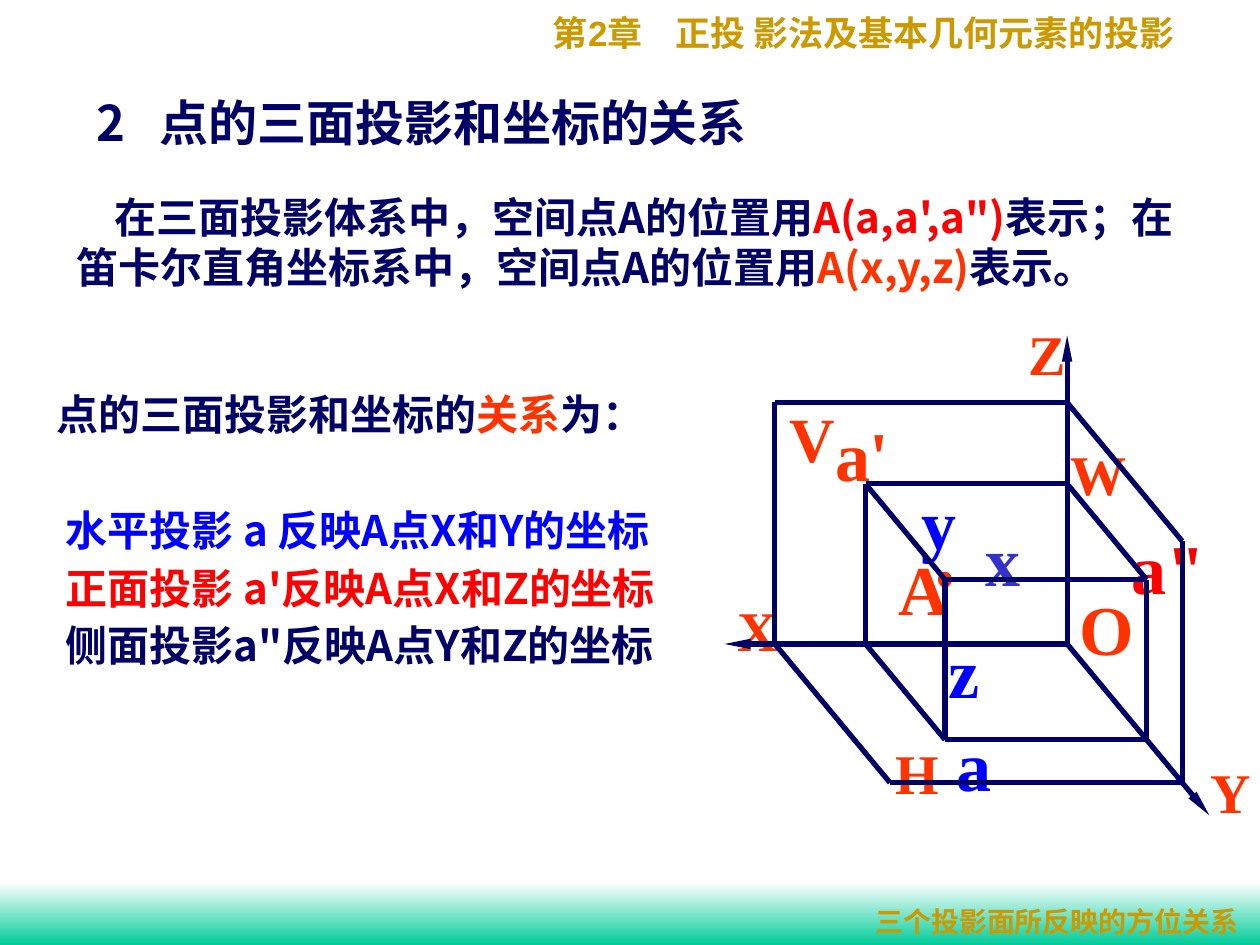
from dataclasses import dataclass
from typing import NamedTuple

import pptx
import pptx.dml.color
import pptx.enum.shapes
import pptx.enum.text
import pptx.oxml
import pptx.oxml.ns
import pptx.util
from lxml import etree

Pt = pptx.util.Pt
qn = pptx.oxml.ns.qn


@dataclass(frozen=True)
class Theme:
    navy: str = "000066"
    gold: str = "CC9900"
    red: str = "FF0000"
    flame: str = "FF3300"
    blue: str = "0000FF"
    iris: str = "3333CC"
    white: str = "FFFFFF"
    green: str = "00CC99"
    sans: str = "Noto Sans CJK SC"
    serif: str = "Times New Roman"
    arial: str = "Arial"
    title: int = 28
    body: int = 24
    head: int = 20
    foot: int = 16
    large: int = 40
    plane: int = 36
    axis: int = 32
    stroke: int = 3


T = Theme()


class Run(NamedTuple):
    text: str
    color: str = T.navy
    font: str = T.sans


class Para(NamedTuple):
    runs: list[Run]
    indent: float = 0
    tab: float = 0
    before: float = 0
    lines: float = 1


class Block(NamedTuple):
    left: float
    top: float
    width: float
    height: float
    size: int
    paras: list[Para]


class Label(NamedTuple):
    text: str
    left: float
    top: float
    width: float
    color: str = T.flame
    size: int = T.large


class Node(NamedTuple):
    """Space coordinates, measured from the origin O."""
    x: float
    y: float
    z: float


class Edge(NamedTuple):
    start: Node
    end: Node
    arrow: bool = False


def rgb(code: str) -> pptx.dml.color.RGBColor:
    return pptx.dml.color.RGBColor.from_string(code)


def style(run, size: int, color: str, font: str) -> None:
    run.font.size = Pt(size)
    run.font.bold = True
    run.font.color.rgb = rgb(color)
    run.font.name = font
    east = etree.SubElement(run.font._element, qn("a:ea"))
    east.set("typeface", T.sans)


def draw_block(shapes, block: Block) -> None:
    box = shapes.add_textbox(Pt(block.left), Pt(block.top), Pt(block.width), Pt(block.height))
    frame = box.text_frame
    frame.word_wrap = True
    frame.vertical_anchor = pptx.enum.text.MSO_ANCHOR.MIDDLE
    for i, item in enumerate(block.paras):
        para = frame.add_paragraph() if i else frame.paragraphs[0]
        props = para._p.get_or_add_pPr()
        if item.indent:
            props.set("marL", "0")
            props.set("indent", str(int(Pt(item.indent))))
        if item.tab:
            stops = etree.SubElement(props, qn("a:tabLst"))
            etree.SubElement(stops, qn("a:tab"), pos=str(int(Pt(item.tab))), algn="l")
        para.line_spacing = item.lines
        if item.before:
            para.space_before = Pt(item.before)
        for part in item.runs:
            run = para.add_run()
            run.text = part.text
            style(run, block.size, part.color, part.font)


def draw_label(shapes, label: Label) -> None:
    """Centre the text between zero side margins, so that it stays on one line."""
    height = 1.2 * label.size + 7.2
    box = shapes.add_textbox(Pt(label.left), Pt(label.top), Pt(label.width), Pt(height))
    frame = box.text_frame
    frame.text = label.text
    frame.word_wrap = False
    frame.margin_left = frame.margin_right = Pt(0)
    para = frame.paragraphs[0]
    para.alignment = pptx.enum.text.PP_ALIGN.CENTER
    style(para.runs[0], label.size, label.color, T.serif)


def project(node: Node) -> tuple[float, float]:
    """Oblique view: x runs left, z up, y down to the right."""
    return 609.8 - node.x + 0.83 * node.y, 368 + node.y - node.z


def draw_edge(shapes, edge: Edge) -> None:
    ends = [Pt(v) for node in (edge.start, edge.end) for v in project(node)]
    line = shapes.add_connector(pptx.enum.shapes.MSO_CONNECTOR.STRAIGHT, *ends)
    line.line.color.rgb = rgb(T.navy)
    line.line.width = Pt(T.stroke)
    if edge.arrow:
        etree.SubElement(line.line._get_or_add_ln(), qn("a:tailEnd"),
                         type="triangle", w="sm", len="lg")
    etree.SubElement(line._element.spPr, qn("a:effectLst"))


def draw_band(shapes) -> None:
    band = shapes.add_shape(pptx.enum.shapes.MSO_SHAPE.RECTANGLE, 0, Pt(504), Pt(720), Pt(36))
    band.shadow.inherit = False
    band.line.fill.background()
    band.fill.gradient()
    band.fill.gradient_angle = 270
    for stop, color, place in zip(band.fill.gradient_stops, (T.white, T.green), (0, 1)):
        stop.color.rgb = rgb(color)
        stop.position = place


def draw_dot(shapes, node: Node) -> None:
    x, y = project(node)
    dot = shapes.add_shape(pptx.enum.shapes.MSO_SHAPE.OVAL, Pt(x - 2.5), Pt(y - 3), Pt(5), Pt(6))
    dot.shadow.inherit = False
    dot.fill.solid()
    dot.fill.fore_color.rgb = rgb(T.red)
    dot.line.color.rgb = rgb(T.flame)
    dot.line.width = Pt(T.stroke)


def faces(x: float, y: float, z: float) -> list[Edge]:
    """Outer edges of the V, H and W faces of a box at the origin."""
    ring = [Node(x, 0, 0), Node(x, 0, z), Node(0, 0, z), Node(0, y, z),
            Node(0, y, 0), Node(x, y, 0)]
    return [Edge(a, b) for a, b in zip(ring, ring[1:] + ring[:1])]


A = Node(115.2, 54.7, 91.5)
O = Node(0, 0, 0)
EDGES = [
    *faces(*A),
    *(Edge(A, end) for end in (A._replace(x=0), A._replace(y=0), A._replace(z=0))),
    *faces(167, 79.2, 138),
    *(Edge(O, tip, True) for tip in (Node(0, 0, 176.3), Node(195.8, 0, 0), Node(0, 97.9, 0))),
]

LABELS = [
    Label("y", 517.7, 270.7, 38, T.blue),
    Label("x", 558, 291.6, 30, T.iris),
    Label("z", 535, 355.7, 32, T.blue),
    Label("O", 609.8, 331.2, 45),
    Label("A", 506.2, 308.2, 43),
    Label("V", 444.2, 224.6, 40, size=T.plane),
    Label("H", 504.7, 418.3, 39, size=T.axis),
    Label("W", 604.8, 247.7, 46, size=T.axis),
    Label("a'", 470.2, 231.8, 45),
    Label("a", 539, 409, 35, T.blue),
    Label('a"', 639.4, 295.9, 56, T.red),
    Label("X", 414, 337, 38, size=T.axis),
    Label("Z", 579, 179.3, 39, size=T.axis),
    Label("Y", 684, 429.1, 38, size=T.axis),
]

FACTS = [
    ("水平投影 a 反映A点X和Y的坐标", T.blue),
    ("正面投影 a'反映A点X和Z的坐标", T.red),
    ('侧面投影a"反映A点Y和Z的坐标', T.navy),
]

BLOCKS = [
    Block(308.9, 2.9, 381, 31.7, T.head, [Para([
        Run("第", T.gold, T.serif), Run("2", T.gold, T.arial),
        Run("章\t正投 影法及基本几何元素的投影", T.gold, T.serif)], tab=70)]),
    Block(48.2, 49, 463, 41, T.title, [Para([Run("2\t点的三面投影和坐标的关系")], tab=36)]),
    Block(36.7, 105.8, 655.2, 64.8, T.body, [Para([
        Run("在三面投影体系中，空间点A的位置用"), Run("""A(a,a',a")""", T.red),
        Run("表示；在笛卡尔直角坐标系中，空间点A的位置用"),
        Run("A(x,y,z)", T.flame), Run("表示。")], indent=21.5)]),
    Block(25.2, 164.2, 385.9, 272.2, T.body, [
        Para([Run("点的三面投影和坐标的"), Run("关系", T.flame), Run("为：")], lines=1.15),
        *(Para([Run(text, color)], indent=5.4, before=0 if i else 33, lines=1.15)
          for i, (text, color) in enumerate(FACTS))]),
    Block(493.2, 513.4, 226.8, 26.6, T.foot, [
        Para([Run("三个投影面所反映的方位关系", T.gold, T.serif)])]),
]


def main() -> None:
    deck = pptx.Presentation()
    deck.slide_width, deck.slide_height = Pt(720), Pt(540)
    slide = deck.slides.add_slide(deck.slide_layouts[6])
    draw_band(slide.shapes)
    for block in BLOCKS:
        draw_block(slide.shapes, block)
    group = slide.shapes.add_group_shape().shapes
    for label in LABELS:
        draw_label(group, label)
    draw_dot(group, A)
    for edge in EDGES:
        draw_edge(group, edge)
    deck.save("out.pptx")


if __name__ == "__main__":
    main()
